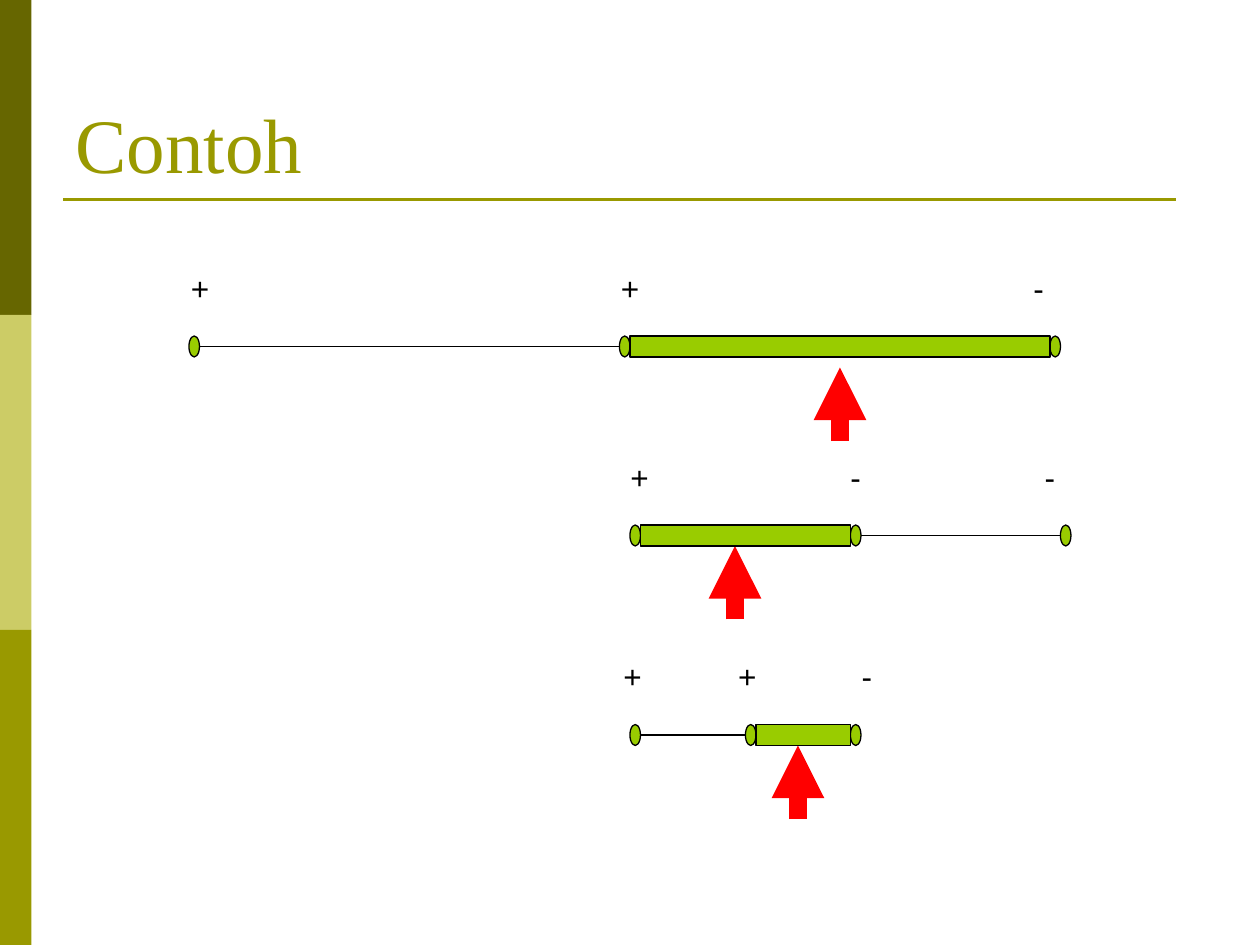
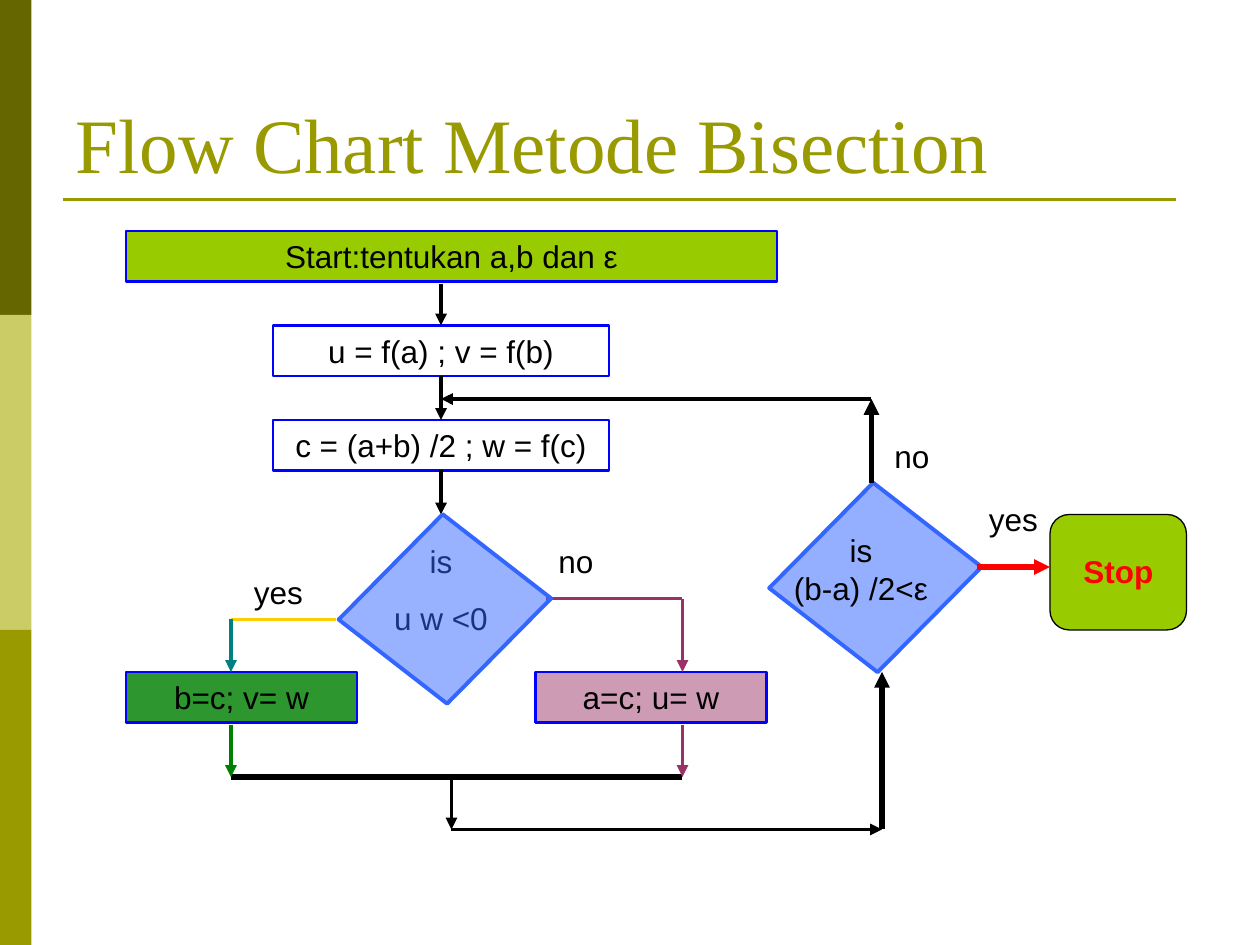
"""Build two slides on the bisection method: an interval example and a flow chart."""
from dataclasses import dataclass

from lxml.etree import SubElement
from pptx import Presentation
from pptx.dml.color import RGBColor
from pptx.enum.shapes import MSO_CONNECTOR as Connector, MSO_SHAPE as Shape
from pptx.enum.text import MSO_ANCHOR as Anchor, MSO_AUTO_SIZE as AutoSize, PP_ALIGN as Align
from pptx.oxml.ns import qn
from pptx.util import Pt


@dataclass(frozen=True)
class Theme:
    olive: str = "999900"
    dark_olive: str = "666600"
    pale_olive: str = "CCCC66"
    lime: str = "99CC00"
    black: str = "000000"
    red: str = "FF0000"
    blue: str = "0000FF"
    sky: str = "3366FF"
    plum: str = "993366"
    green: str = "008000"
    teal: str = "008080"
    amber: str = "FFCC00"
    title_font: str = "Times New Roman"
    body_font: str = "Arial"
    title_size: float = 44
    body_size: float = 18
    thin: float = 0.75
    medium: float = 1.5
    thick: float = 2.25
    heavy: float = 3
    block: float = 10


def assign(target, values):
    for name, value in values.items():
        setattr(target, name, value)


class Sketch:
    def __init__(self, deck, theme):
        self.deck, self.theme, self.page = deck, theme, None

    def start_page(self, title):
        theme = self.theme
        self.page = self.deck.slides.add_slide(self.deck.slide_layouts[5])
        for index, color in enumerate((theme.dark_olive, theme.pale_olive, theme.olive)):
            self.shape(Shape.RECTANGLE, (0, 180 * index, 18, 180), color)
        self.line((36, 114), (672, 114), theme.olive, theme.medium, arrow=False)
        heading = self.page.shapes.title
        assign(heading, dict(left=Pt(36), top=Pt(21.6), width=Pt(648), height=Pt(90)))
        self.fill_text(heading, [title], color=theme.olive, font=theme.title_font,
                       size=theme.title_size, anchor=Anchor.BOTTOM)

    def fill_text(self, holder, lines, color=None, font=None, size=None, bold=False,
                  align=Align.LEFT, before=0, anchor=Anchor.TOP, tabs=()):
        theme = self.theme
        frame = holder.text_frame
        assign(frame, dict(word_wrap=True, auto_size=AutoSize.NONE, vertical_anchor=anchor))
        for index, words in enumerate(lines):
            para = frame.add_paragraph() if index else frame.paragraphs[0]
            assign(para, dict(alignment=align, space_before=Pt(before)))
            if tabs:
                stops = SubElement(para._p.get_or_add_pPr(), qn("a:tabLst"))
                for stop in tabs:
                    SubElement(stops, qn("a:tab"), pos=str(Pt(stop)), algn="l")
            span = para.add_run()
            span.text = words
            assign(span.font, dict(name=font or theme.body_font,
                                   size=Pt(size or theme.body_size), bold=bold))
            span.font.color.rgb = RGBColor.from_string(color or theme.black)

    def text(self, place, lines, **style):
        box = self.page.shapes.add_textbox(*map(Pt, place))
        self.fill_text(box, lines, **style)

    def shape(self, kind, place, fill=None, line=None, width=0.75, opacity=None):
        shape = self.page.shapes.add_shape(kind, *map(Pt, place))
        shape.shadow.inherit = False
        if fill:
            shape.fill.solid()
            shape.fill.fore_color.rgb = RGBColor.from_string(fill)
        else:
            shape.fill.background()
        if opacity:
            tint = shape._element.spPr.find(qn("a:solidFill")).find(qn("a:srgbClr"))
            SubElement(tint, qn("a:alpha"), val=str(opacity * 1000))
        if line:
            shape.line.color.rgb = RGBColor.from_string(line)
            shape.line.width = Pt(width)
        else:
            shape.line.fill.background()
        return shape

    def step(self, left, top, width, words, fill=None, opacity=None):
        box = self.shape(Shape.RECTANGLE, (left, top, width, 28.8), fill,
                         self.theme.blue, self.theme.medium, opacity)
        self.fill_text(box, [words], align=Align.CENTER, before=11.2)
        return box

    def decision(self, left, top, opacity):
        diamond = self.shape(Shape.PARALLELOGRAM, (left, top, 88.5, 84), self.theme.sky,
                             self.theme.sky, self.theme.thick, opacity)
        diamond.rotation = 37.8
        diamond.adjustments[0] = 0.12

    def line(self, start, end, color=None, width=None, arrow=True, source=None, target=None):
        theme = self.theme
        link = self.page.shapes.add_connector(Connector.STRAIGHT, *map(Pt, (*start, *end)))
        link.line.color.rgb = RGBColor.from_string(color or theme.black)
        link.line.width = Pt(width or theme.thick)
        properties = link._element.spPr
        if arrow:
            SubElement(properties.find(qn("a:ln")), qn("a:tailEnd"), type="triangle")
        SubElement(properties, qn("a:effectLst"))
        if source:
            link.begin_connect(source, 2)
        if target:
            link.end_connect(target, 0)

    def interval(self, axis, dots, bar_index, signs, place, tabs, pointer, gap):
        theme = self.theme
        self.line((dots[0], axis), (dots[-1] + 6, axis), width=theme.thin, arrow=False)
        self.text((place[0], axis - 48, *place[1:]), [signs], before=11.2, tabs=tabs)
        for left in dots:
            self.shape(Shape.OVAL, (left, axis - 6, 6, 12), theme.lime, theme.black)
        tip = axis + gap
        self.line((pointer, tip + 42), (pointer, tip), theme.red, theme.block)
        left = dots[bar_index] + 6
        self.shape(Shape.RECTANGLE, (left, axis - 6, dots[bar_index + 1] - left, 12),
                   theme.lime, theme.black)


def draw_example(sketch):
    sketch.start_page("Contoh")
    sketch.interval(198, (108, 354, 600), 1, "+\t+\t-", (102, 510, 50.4),
                    (245.7, 481.4), 480, 12)
    sketch.interval(306, (360, 486, 606), 0, "\t+\t-\t-", (108, 510, 50.4),
                    (245.2, 370.8, 481.9), 420, 6)
    sketch.interval(420, (360, 426, 486), 1, "\t+\t+\t-", (174, 450, 28.8),
                    (175.1, 240.7, 311.3), 456, 6)


def draw_flow_chart(sketch):
    theme = sketch.theme
    sketch.start_page("Flow Chart Metode Bisection")
    sketch.step(72, 132, 372, "Start:tentukan a,b dan ε", theme.lime)
    evaluate = sketch.step(156, 186, 192, "u = f(a) ; v = f(b)")
    halve = sketch.step(156, 240, 192, "c = (a+b) /2 ; w = f(c)")
    sketch.line((252, 162), (252, 186), target=evaluate)
    sketch.line((252, 216), (252, 240), source=evaluate, target=halve)
    sketch.line((252, 270), (252, 294), source=halve)

    sketch.decision(456, 288, 52)
    sketch.text((216, 306, 72, 61.9), ["is", "u w <0"], align=Align.CENTER, before=11.2)
    sketch.step(306, 384, 132, "a=c; u= w", theme.plum, 49)
    sketch.step(72, 384, 132, "b=c; v= w", theme.green, 82)

    for start, end, color, width, arrow in (
        ((312, 342), (390, 342), theme.plum, theme.thick, False),
        ((390, 342), (390, 384), theme.plum, theme.thick, True),
        ((192, 354), (132, 354), theme.amber, theme.thick, False),
        ((132, 354), (132, 384), theme.teal, theme.thick, True),
        ((132, 444), (390, 444), theme.black, theme.heavy, False),
        ((132, 414), (132, 444), theme.green, theme.thick, True),
        ((390, 414), (390, 444), theme.plum, theme.thick, True),
        ((258, 444), (258, 474), theme.black, theme.thick, True),
        ((258, 474), (504, 474), theme.black, theme.thick, True),
        ((504, 474), (504, 384), theme.black, theme.heavy, True),
        ((498, 228), (252, 228), theme.black, theme.thick, True),
        ((498, 276), (498, 228), theme.black, theme.heavy, True),
    ):
        sketch.line(start, end, color, width, arrow)

    sketch.decision(210, 306, 50)
    sketch.text((444, 300, 96, 50.4), ["is", "(b-a) /2<ε"], align=Align.CENTER)
    for left, top, answer in ((138, 324, "yes"), (558, 282, "yes"),
                              (312, 306, "no"), (504, 246, "no")):
        sketch.text((left, top, 78, 28.8), [answer])
    sketch.shape(Shape.ROUNDED_RECTANGLE, (600, 294, 78, 66), theme.lime, theme.black)
    sketch.text((612, 312, 66, 28.8), ["Stop"], color=theme.red, bold=True, before=11.2)
    sketch.line((558, 324), (600, 324), theme.red, theme.heavy)


def main():
    deck = Presentation()
    assign(deck, dict(slide_width=Pt(720), slide_height=Pt(540)))
    sketch = Sketch(deck, Theme())
    draw_example(sketch)
    draw_flow_chart(sketch)
    deck.save("out.pptx")


if __name__ == "__main__":
    main()
